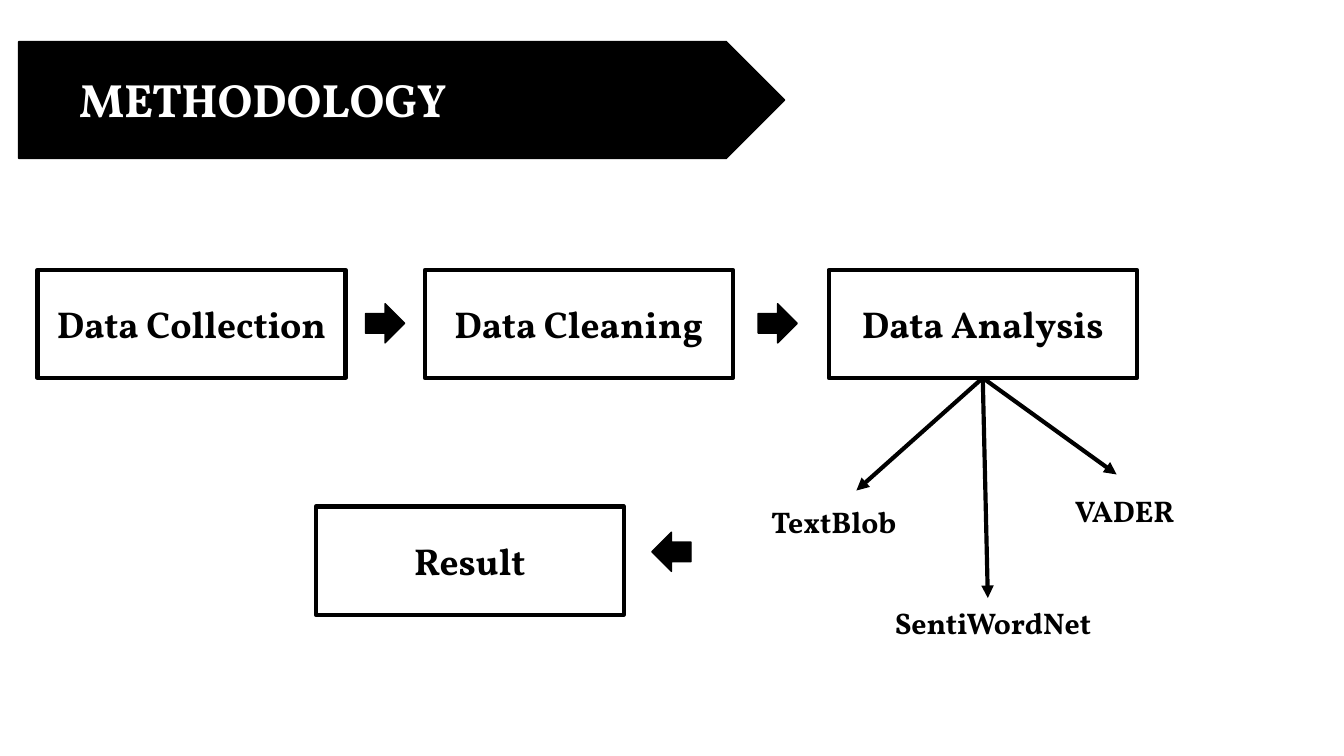
"""Build the methodology slide: a flow of steps with three analysis tools."""
from lxml import etree
from pptx import Presentation
from pptx.dml.color import RGBColor
from pptx.enum.shapes import MSO_CONNECTOR, MSO_SHAPE
from pptx.enum.text import MSO_ANCHOR, MSO_AUTO_SIZE, PP_ALIGN
from pptx.oxml.ns import qn
from pptx.util import Pt

RECTANGLE, PENTAGON, ARROW = MSO_SHAPE.RECTANGLE, MSO_SHAPE.PENTAGON, MSO_SHAPE.RIGHT_ARROW
STRAIGHT = MSO_CONNECTOR.STRAIGHT
TOP, MIDDLE = MSO_ANCHOR.TOP, MSO_ANCHOR.MIDDLE
LEFT, CENTER = PP_ALIGN.LEFT, PP_ALIGN.CENTER
FIT_SHAPE = MSO_AUTO_SIZE.SHAPE_TO_FIT_TEXT
BLACK, WHITE = RGBColor(0, 0, 0), RGBColor(255, 255, 255)
FONT = "Vollkorn"
BOTTOM_SITE = 2
INSET = 7.2
THIN, THICK = 0.75, 2.25

PANEL = (10, 13, 698.5, 380)
BANNER = (10, 22.3, 410.4, 62.6)
TITLE = ("METHODOLOGY", (35.3, 31, 348.5, 44.6))
STEP_SIZE = (165, 57.9)
STEPS = [
    ("Data Collection", 20.1, 144.6),
    ("Data Cleaning", 227.6, 144.6),
    ("Data Analysis", 444, 144.6),
    ("Result", 169.2, 271.4),
]
ARROW_SIZE = 21
FLOW_ARROWS = [(195.8, 162.7, 0), (406.1, 162.7, 0), (349.2, 285.1, 180)]
TOOL_HEIGHT = 33.8
TOOLS = [
    ("TextBlob", 406.1, 262.8, 91.4, (458.8, 262.8)),
    ("SentiWordNet", 472.3, 316.8, 125.3, (529.2, 320.4)),
    ("VADER", 568.8, 257, 71.3, (598.2, 254.2)),
]


def add_shape(page, kind, place, fill=None, line=None, width=THIN):
    shape = page.shapes.add_shape(kind, *map(Pt, place))
    shape.shadow.inherit = False
    if fill is None:
        shape.fill.background()
    else:
        shape.fill.solid()
        shape.fill.fore_color.rgb = fill
    if line is None:
        shape.line.fill.background()
    else:
        shape.line.color.rgb = line
        shape.line.width = Pt(width)
    return shape


def write(shape, words, size, color=BLACK, anchor=TOP, align=LEFT):
    frame = shape.text_frame
    frame.word_wrap = True
    frame.vertical_anchor = anchor
    for side in ("left", "top", "right", "bottom"):
        setattr(frame, f"margin_{side}", Pt(INSET))
    para = frame.paragraphs[0]
    para.alignment = align
    span = para.add_run()
    span.text = words
    for name, value in {"name": FONT, "size": Pt(size), "bold": True}.items():
        setattr(span.font, name, value)
    span.font.color.rgb = color


def add_label(page, words, place, size, color=BLACK):
    box = page.shapes.add_textbox(*map(Pt, place))
    write(box, words, size, color)
    box.text_frame.auto_size = FIT_SHAPE


def add_branch(page, source, end):
    branch = page.shapes.add_connector(STRAIGHT, 0, 0, *map(Pt, end))
    branch.begin_connect(source, BOTTOM_SITE)
    branch.line.color.rgb = BLACK
    branch.line.width = Pt(THICK)
    etree.SubElement(branch.line._get_or_add_ln(), qn("a:tailEnd"), type="triangle")
    etree.SubElement(branch._element.spPr, qn("a:effectLst"))


def main():
    deck = Presentation()
    deck.slide_width, deck.slide_height = Pt(720), Pt(405)
    page = deck.slides.add_slide(deck.slide_layouts[6])

    panel = add_shape(page, RECTANGLE, PANEL, WHITE)
    color = panel._element.spPr.find(".//" + qn("a:srgbClr"))
    etree.SubElement(color, qn("a:alpha"), val="75000")
    add_shape(page, PENTAGON, BANNER, BLACK, BLACK)
    words, place = TITLE
    add_label(page, words, place, 25, WHITE)

    boxes = {}
    for words, left, top in STEPS:
        boxes[words] = add_shape(page, RECTANGLE, (left, top, *STEP_SIZE), line=BLACK, width=THICK)
        write(boxes[words], words, 20, anchor=MIDDLE, align=CENTER)
    for left, top, turn in FLOW_ARROWS:
        arrow = add_shape(page, ARROW, (left, top, ARROW_SIZE, ARROW_SIZE), BLACK, BLACK)
        arrow.rotation = turn
    for words, left, top, width, end in TOOLS:
        add_branch(page, boxes["Data Analysis"], end)
        add_label(page, words, (left, top, width, TOOL_HEIGHT), 16)

    deck.save("out.pptx")


if __name__ == "__main__":
    main()
